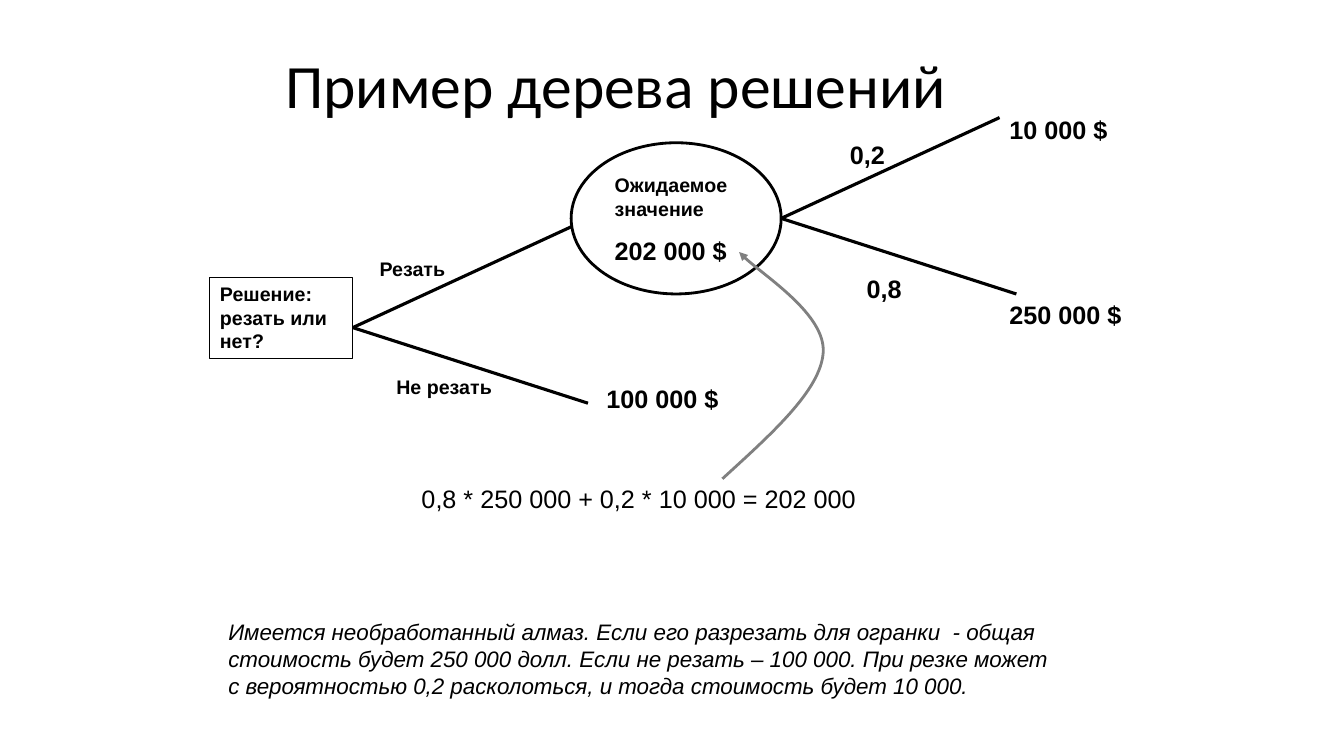
from lxml.etree import SubElement
from pptx import Presentation
from pptx.dml.color import RGBColor
from pptx.enum.shapes import MSO_CONNECTOR as Line, MSO_SHAPE as Shape
from pptx.enum.text import MSO_ANCHOR as Anchor, PP_ALIGN as Align
from pptx.oxml.ns import qn
from pptx.util import Pt


class Theme:
    ink = RGBColor(0, 0, 0)
    arrow = RGBColor(0x80, 0x80, 0x80)
    head_font, body_font = "Calibri", "Arial"
    title, value, note, label = 44, 18, 16, 14


def write(tf, lines, bold=True, italic=False):
    """Fill a text frame with (text, size) paragraphs."""
    tf.word_wrap = True
    tf.vertical_anchor = Anchor.TOP
    for i, (text, size) in enumerate(lines):
        p = tf.paragraphs[0] if i == 0 else tf.add_paragraph()
        p.text = text
        p.alignment = Align.LEFT
        p.space_before = Pt(round(size * 0.625, 1))
        p.font.name, p.font.size = Theme.body_font, Pt(size)
        p.font.bold, p.font.italic = bold, italic
        p.font.color.rgb = Theme.ink


def outline(sp, width, color=Theme.ink):
    """Leave a shape unfilled, with a plain line."""
    sp.shadow.inherit = False
    sp.fill.background()
    sp.line.color.rgb, sp.line.width = color, Pt(width)


prs = Presentation()
prs.slide_width, prs.slide_height = Pt(960), Pt(540)
s = prs.slides.add_slide(prs.slide_layouts[5])

# Title
title = s.shapes.title
title.left, title.top, title.width, title.height = Pt(150), Pt(30), Pt(580), Pt(60)
title.text_frame.text = "Пример дерева решений"
title.text_frame.vertical_anchor = Anchor.MIDDLE
p = title.text_frame.paragraphs[0]
p.alignment = Align.CENTER
p.font.name, p.font.size, p.font.color.rgb = Theme.head_font, Pt(Theme.title), Theme.ink

# Decision and chance nodes
decision = s.shapes.add_shape(Shape.RECTANGLE, Pt(150), Pt(198), Pt(102), Pt(58))
outline(decision, 0.75)
write(decision.text_frame, [("Решение: резать или нет?", Theme.label)])
chance = s.shapes.add_shape(Shape.OVAL, Pt(408), Pt(102), Pt(150), Pt(108))
outline(chance, 2)

# Branches: two from each node
for start, ends in [((252, 234), [(420, 288), (408, 162)]),
                    ((558, 156), [(714, 84), (726, 210)])]:
    for end in ends:
        branch = s.shapes.add_connector(Line.STRAIGHT, *map(Pt, start + end))
        branch.line.color.rgb, branch.line.width = Theme.ink, Pt(2.25)
        SubElement(branch._element.spPr, qn("a:effectLst"))

# Labels, probabilities and outcomes: left, top, width, height, paragraphs
for left, top, width, height, lines in [
    (264, 180, 84, 24.5, [("Резать", Theme.label)]),
    (276, 264, 108, 24.5, [("Не резать", Theme.label)]),
    (432, 120, 108, 73.5, [("Ожидаемое значение", Theme.label),
                           ("202 000 $", Theme.value)]),
    (426, 270, 108, 29, [("100 000 $", Theme.value)]),
    (714, 78, 108, 29, [("10 000 $", Theme.value)]),
    (714, 210, 108, 29, [("250 000 $", Theme.value)]),
    (600, 96, 48, 29, [("0,2", Theme.value)]),
    (612, 192, 48, 29, [("0,8", Theme.value)]),
]:
    box = s.shapes.add_textbox(Pt(left), Pt(top), Pt(width), Pt(height))
    write(box.text_frame, lines)

# Expected value formula
formula = s.shapes.add_textbox(Pt(294), Pt(342), Pt(462), Pt(29))
write(formula.text_frame, [("0,8 * 250 000 + 0,2 * 10 000 = 202 000", Theme.value)], bold=False)

# Curved arrow from the formula to the expected value
curve = [(551, 310), (586, 279), (588, 252), (590, 225), (538, 192), (528, 180)]
builder = s.shapes.build_freeform(Pt(516), Pt(342))
builder.add_line_segments([(Pt(x), Pt(y)) for x, y in curve], close=False)
arrow = builder.convert_to_shape()
outline(arrow, 2, Theme.arrow)
outline_path = next(arrow._element.iter(qn("a:path")))
outline_path.set("fill", "none")
segments = outline_path.findall(qn("a:lnTo"))
for i in range(0, len(segments), 3):  # three points make one Bézier segment
    bezier = SubElement(outline_path, qn("a:cubicBezTo"))
    for segment in segments[i:i + 3]:
        bezier.append(segment[0])
        outline_path.remove(segment)
SubElement(arrow.line._get_or_add_ln(), qn("a:tailEnd"), type="triangle")

# Problem statement
note = s.shapes.add_textbox(Pt(156), Pt(438), Pt(612), Pt(65.5))
write(note.text_frame, [(
    "Имеется необработанный алмаз. Если его разрезать для огранки  - общая "
    "стоимость будет 250 000 долл. Если не резать – 100 000. При резке может "
    "с вероятностью 0,2 расколоться, и тогда стоимость будет 10 000.",
    Theme.note)], bold=False, italic=True)

prs.save("out.pptx")
